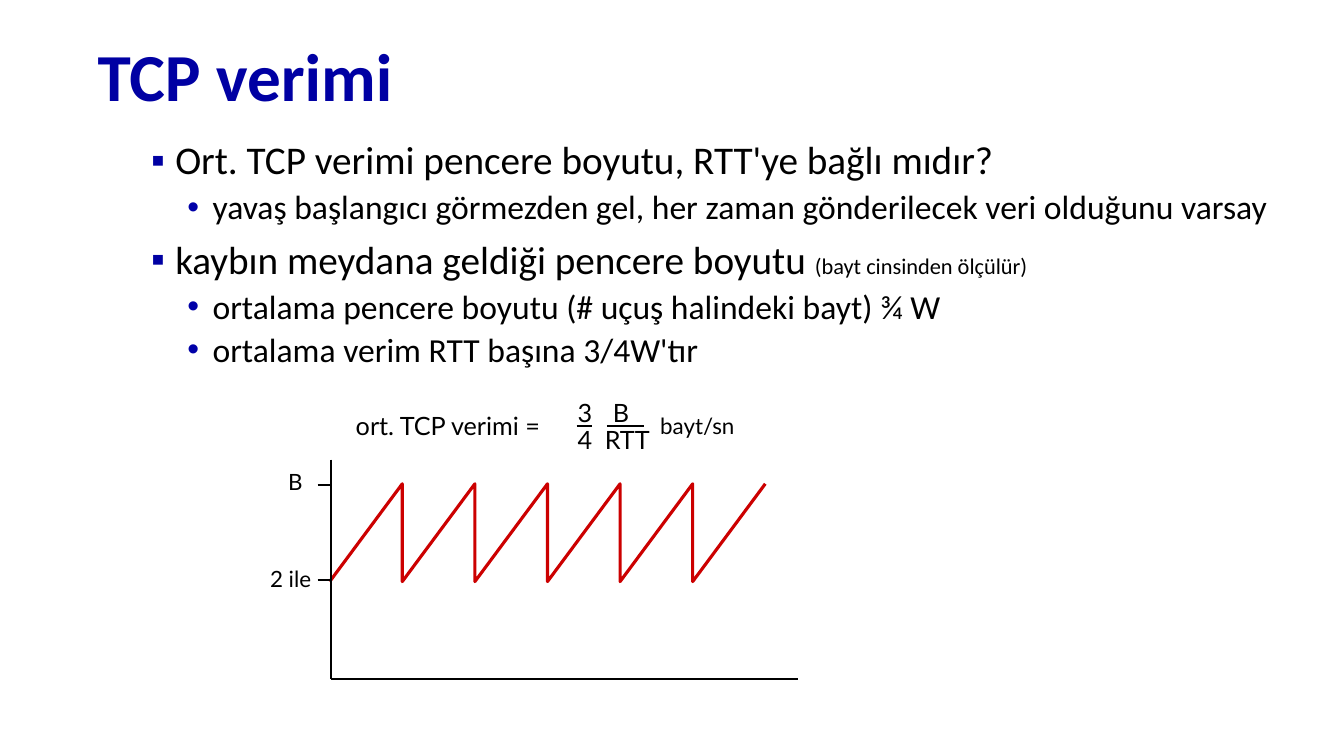
import pptx
import pptx.util
import pptx.dml.color
import pptx.enum.shapes
import pptx.enum.text
import pptx.oxml.ns
from lxml import etree

Inches, Pt = pptx.util.Inches, pptx.util.Pt
RGBColor = pptx.dml.color.RGBColor
qn = pptx.oxml.ns.qn
NAVY = RGBColor(0x00, 0x00, 0xA3)
BULLET_BLUE = RGBColor(0x00, 0x00, 0xA8)
BLACK = RGBColor(0, 0, 0)
RED = RGBColor(0xCC, 0, 0)

# Content
TITLE = "TCP verimi"
BULLETS = [  # level, runs of (text, size)
    (0, [("Ort. TCP verimi pencere boyutu, RTT'ye bağlı mıdır?", 28)]),
    (1, [("yavaş başlangıcı görmezden gel, her zaman gönderilecek veri olduğunu varsay", 24)]),
    (0, [("kaybın meydana geldiği pencere boyutu ", 28), ("(bayt cinsinden ölçülür)", 16)]),
    (1, [("ortalama pencere boyutu (# uçuş halindeki bayt) ¾ W", 24)]),
    (1, [("ortalama verim RTT başına 3/4W'tır", 24)]),
]
LEVELS = [  # mark, colour, left margin, hanging indent, space before
    ("▪", NAVY, 0.39, -0.24, 10),
    ("•", BULLET_BLUE, 0.76, -0.25, 5),
]

# Graph geometry, inches
AXIS_X, AXIS_TOP, AXIS_Y, AXIS_END = 3.28, 4.56, 6.74, 7.91
PEAK, TROUGH, PERIOD, TEETH = 4.8, 5.77, 0.72, 6
TICK = 0.13
# Formula rows, inches
TOP_ROW, BAR, BOTTOM_ROW = 3.89, 4.23, 4.16

LABELS = [  # text, size, left, top, width, height
    ("B", 16, 2.76, 4.6, 0.4, 0.37),
    ("2 ile", 16, 2.58, 5.56, 0.61, 0.37),
    ("ort. TCP verimi =", 18, 3.43, 4.02, 2.34, 0.4),
    ("3", 18, 5.63, TOP_ROW, 0.34, 0.4),
    ("4", 18, 5.63, BOTTOM_ROW, 0.34, 0.4),
    ("B", 18, 5.98, TOP_ROW, 0.43, 0.4),
    ("RTT", 18, 5.9, BOTTOM_ROW, 0.65, 0.4),
    ("bayt/sn", 16, 6.45, 4.04, 1.13, 0.37),
]
LINES = [  # x1, y1, x2, y2
    (AXIS_X, AXIS_Y, AXIS_END, AXIS_Y),
    (AXIS_X, AXIS_TOP, AXIS_X, AXIS_Y),
    (AXIS_X - TICK, 4.81, AXIS_X, 4.81),
    (AXIS_X - TICK, 5.75, AXIS_X, 5.75),
    (5.72, BAR, 5.87, BAR),
    (6.02, BAR, 6.39, BAR),
]

prs = pptx.Presentation()
prs.slide_width, prs.slide_height = Inches(13.33), Inches(7.5)
s = prs.slides.add_slide(prs.slide_layouts[6])


def add_box(left, top, width, height, **frame):
    tf = s.shapes.add_textbox(*map(Inches, (left, top, width, height))).text_frame
    for name, value in frame.items():
        setattr(tf, name, value)
    return tf


def add_run(p, text, size, font="Calibri", color=BLACK, bold=False):
    r = p.add_run()
    r.text = text
    for name, value in {"name": font, "size": Pt(size), "bold": bold}.items():
        setattr(r.font, name, value)
    r.font.color.rgb = color


def set_bullet(p, mark, color, left, indent):
    pPr = p._p.get_or_add_pPr()
    pPr.set("marL", str(Inches(left)))
    pPr.set("indent", str(Inches(indent)))
    clr = etree.SubElement(pPr, qn("a:buClr"))
    etree.SubElement(clr, qn("a:srgbClr")).set("val", str(color))
    etree.SubElement(pPr, qn("a:buFont")).set("typeface", "Arial")
    etree.SubElement(pPr, qn("a:buChar")).set("char", mark)


# Title
tf = add_box(0.87, 0.3, 12.46, 0.98, word_wrap=True,
             vertical_anchor=pptx.enum.text.MSO_ANCHOR.MIDDLE)
tf.paragraphs[0].line_spacing = 0.9
add_run(tf.paragraphs[0], TITLE, 48, color=NAVY, bold=True)

# Bullets
tf = add_box(1.25, 1.35, 11.68, 5.08, word_wrap=True)
for i, (level, runs) in enumerate(BULLETS):
    mark, color, left, indent, before = LEVELS[level]
    p = tf.add_paragraph() if i else tf.paragraphs[0]
    p.level = level
    set_bullet(p, mark, color, left, indent)
    p.line_spacing = 0.9
    p.space_before = Pt(before if i else 0)
    for text, size in runs:
        add_run(p, text, size)

# Sawtooth of window size
start = AXIS_X - 0.01
points = []
for i in range(TEETH):
    points += [(start + i * PERIOD, TROUGH), (start + (i + 1) * PERIOD, PEAK)]
points = [(Inches(x), Inches(y)) for x, y in points]
builder = s.shapes.build_freeform(*points[0])
builder.add_line_segments(points[1:], close=False)
sp = builder.convert_to_shape()
sp.shadow.inherit = False
sp.fill.background()
sp.line.color.rgb = RED
sp.line.width = Pt(2.25)

# Axes, ticks and fraction bars
for x1, y1, x2, y2 in LINES:
    line = s.shapes.add_connector(pptx.enum.shapes.MSO_CONNECTOR.STRAIGHT,
                                  *map(Inches, (x1, y1, x2, y2)))
    line.line.color.rgb = BLACK
    line.line.width = Pt(1.5)
    etree.SubElement(line._element.spPr, qn("a:effectLst"))

# Axis labels and formula
for text, size, *place in LABELS:
    tf = add_box(*place, word_wrap=False,
                 auto_size=pptx.enum.text.MSO_AUTO_SIZE.SHAPE_TO_FIT_TEXT)
    add_run(tf.paragraphs[0], text, size, font="Lato")

prs.save("out.pptx")
